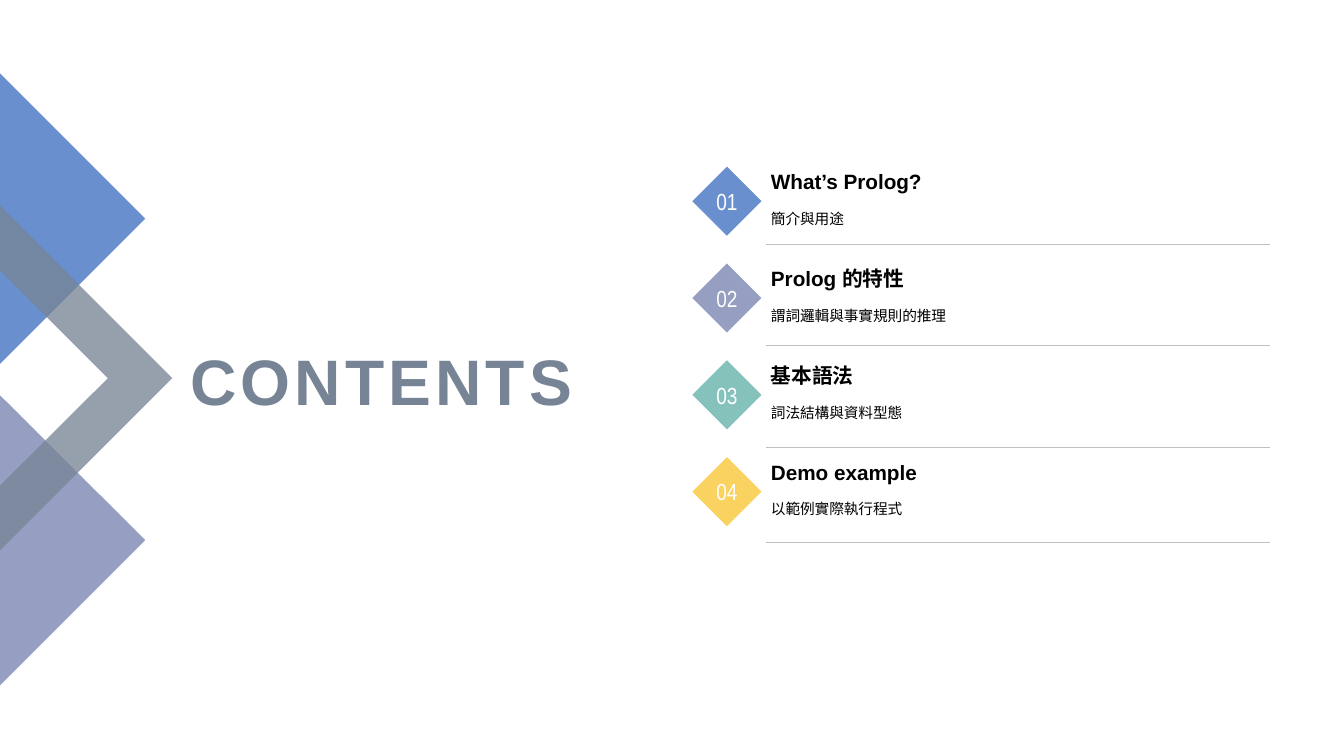
from lxml.etree import SubElement
from pptx import Presentation
from pptx.dml.color import RGBColor as Rgb
from pptx.enum.shapes import MSO_CONNECTOR as Link, MSO_SHAPE as Kind
from pptx.enum.text import MSO_ANCHOR as Anchor, PP_ALIGN as Align
from pptx.oxml.ns import qn
from pptx.util import Cm, Pt

HUES = {
    "blue": "698FCE",
    "purple": "969EC2",
    "green": "85C2BC",
    "yellow": "FAD25F",
    "slate": "778495",
    "rule": "BFBFBF",
    "black": "000000",
    "white": "FFFFFF",
}

FORMS = {
    "head": {
        "font": {"name": "Arial", "size": Pt(45.9), "bold": True},
        "para": {"alignment": Align.RIGHT},
        "frame": {"vertical_anchor": Anchor.MIDDLE, "word_wrap": True},
    },
    "number": {
        "font": {"name": "Arial Narrow", "size": Pt(16.6)},
        "para": {"alignment": Align.CENTER},
        "frame": {"vertical_anchor": Anchor.MIDDLE, "word_wrap": False},
    },
    "topic": {
        "font": {"name": "Arial", "size": Pt(14.8), "bold": True},
        "para": {"alignment": Align.LEFT},
        "frame": {"vertical_anchor": Anchor.BOTTOM, "word_wrap": False},
    },
    "detail": {
        "font": {"name": "Arial", "size": Pt(10.5)},
        "para": {"alignment": Align.LEFT, "line_spacing": 1.2},
        "frame": {"vertical_anchor": Anchor.MIDDLE, "word_wrap": True},
    },
}

TOPICS = [
    ("What’s Prolog?", "簡介與用途", "blue", 6.15),
    ("Prolog 的特性", "謂詞邏輯與事實規則的推理", "purple", 8.71),
    ("基本語法", "詞法結構與資料型態", "green", 11.28),
    ("Demo example", "以範例實際執行程式", "yellow", 13.67),
]

BANDS = [
    ("purple", 100, [(0, 9.96), (3.66, 13.61), (0, 17.27)]),
    ("blue", 100, [(0, 1.85), (3.66, 5.51), (0, 9.17)]),
    ("slate", 77, [(4.34, 9.53), (0, 13.87), (0, 12.24),
                   (2.72, 9.53), (0, 6.81), (0, 5.18)]),
]

TOP = 4.2
STEP = 2.44


def apply(item, values):
    for key, value in values.items():
        setattr(item, key, value)


def paint(shape, hue):
    shape.shadow.inherit = False
    shape.fill.solid()
    shape.fill.fore_color.rgb = Rgb.from_string(HUES[hue])
    shape.line.fill.background()


def write(shape, text, form, hue):
    frame = shape.text_frame
    para = frame.paragraphs[0]
    run = para.add_run()
    run.text = text
    apply(frame, FORMS[form]["frame"])
    apply(para, FORMS[form]["para"])
    apply(run.font, FORMS[form]["font"])
    run.font.color.rgb = Rgb.from_string(HUES[hue])
    return run


def add_text(slide, box, text, form, hue):
    shape = slide.shapes.add_textbox(*map(Cm, box))
    return write(shape, text, form, hue)


def add_band(slide, hue, alpha, points):
    first, *rest = [(Cm(x), Cm(y)) for x, y in points]
    maker = slide.shapes.build_freeform(*first)
    maker.add_line_segments(rest, close=True)
    band = maker.convert_to_shape()
    paint(band, hue)
    if alpha < 100:
        color = band.fill._xPr.find(".//" + qn("a:srgbClr"))
        SubElement(color, qn("a:alpha"), val=str(alpha * 1000))


def add_badge(slide, top, text, hue):
    badge = slide.shapes.add_shape(
        Kind.DIAMOND, Cm(17.45), Cm(top), Cm(1.74), Cm(1.74))
    paint(badge, hue)
    write(badge, text, "number", "white")


def add_rule(slide, y):
    rule = slide.shapes.add_connector(
        Link.STRAIGHT, Cm(19.3), Cm(y), Cm(32), Cm(y))
    rule.line.color.rgb = Rgb.from_string(HUES["rule"])
    rule.line.width = Pt(0.25)
    SubElement(rule._element.spPr, qn("a:effectLst"))


def main():
    deck = Presentation()
    deck.slide_width = Cm(33.87)
    deck.slide_height = Cm(19.05)
    slide = deck.slides.add_slide(deck.slide_layouts[6])
    for band in BANDS:
        add_band(slide, *band)
    head = add_text(slide, (4.29, 8.28, 10.39, 2.57), "CONTENTS", "head", "slate")
    head.font._element.set("spc", "300")
    for i, (topic, detail, hue, y) in enumerate(TOPICS):
        top = TOP + i * STEP
        add_badge(slide, top, f"{i + 1:02}", hue)
        add_text(slide, (19.18, top - 0.03, 11, 0.84), topic, "topic", "black")
        add_text(slide, (19.18, top + 0.82, 11, 0.89), detail, "detail", "black")
        add_rule(slide, y)
    deck.save("out.pptx")


if __name__ == "__main__":
    main()
